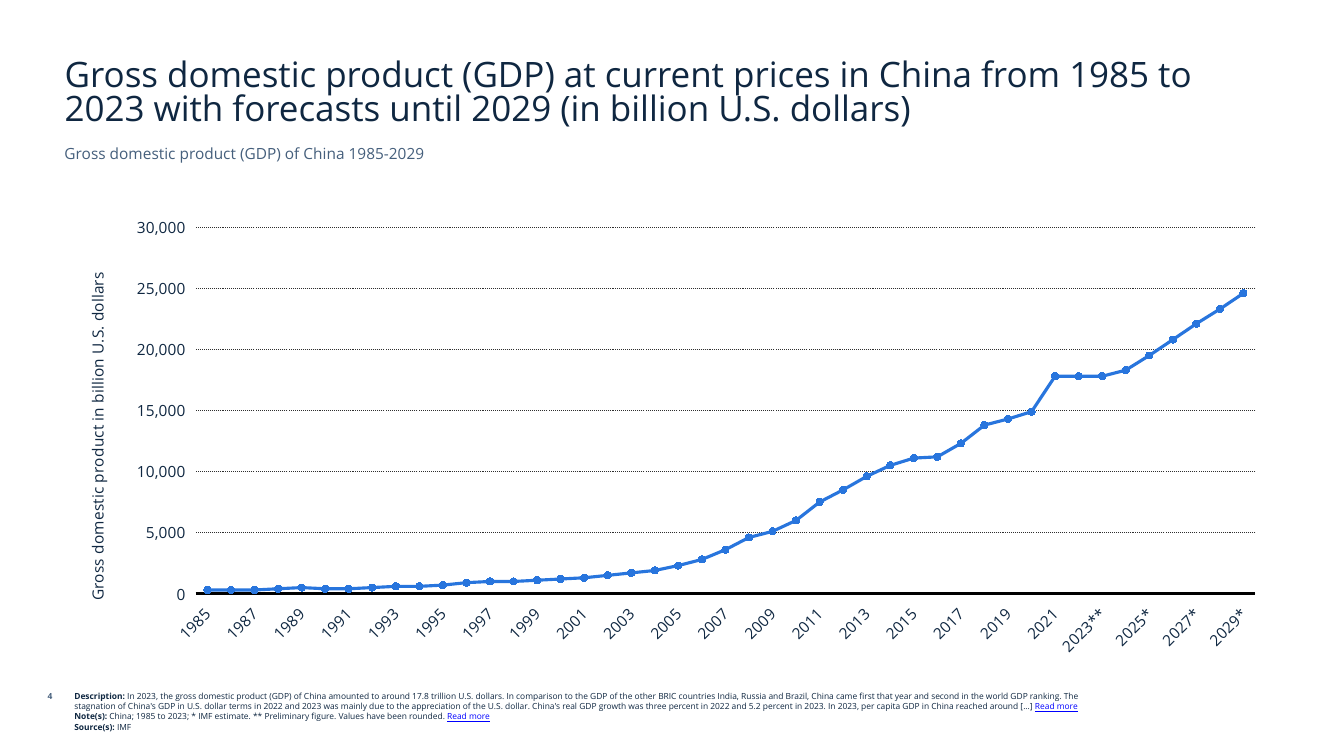
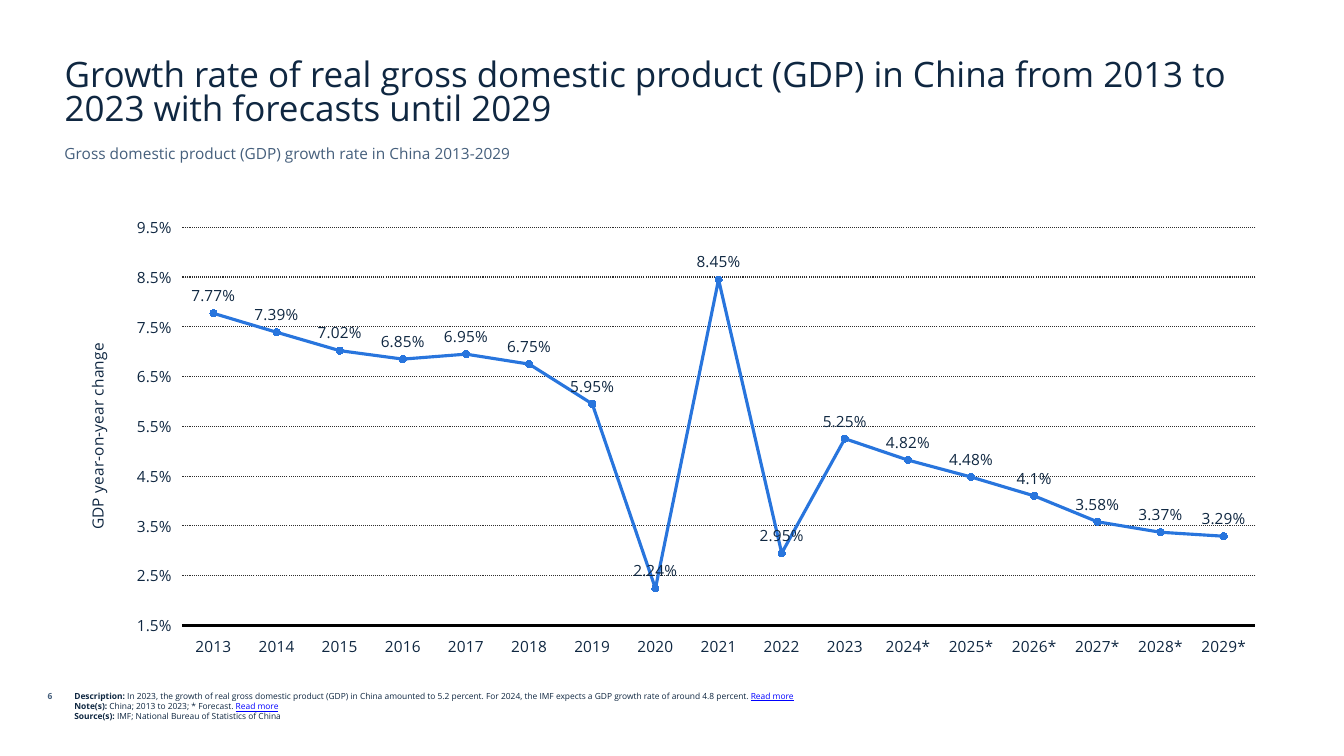
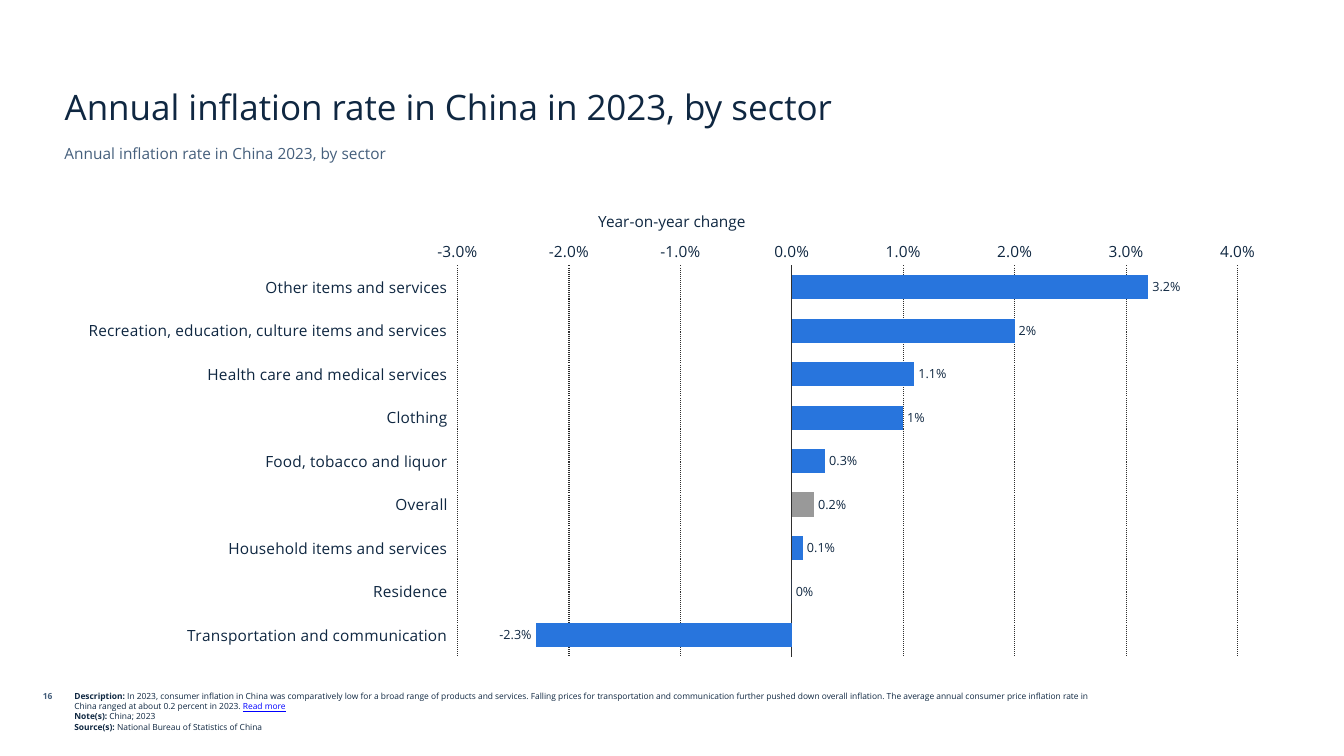
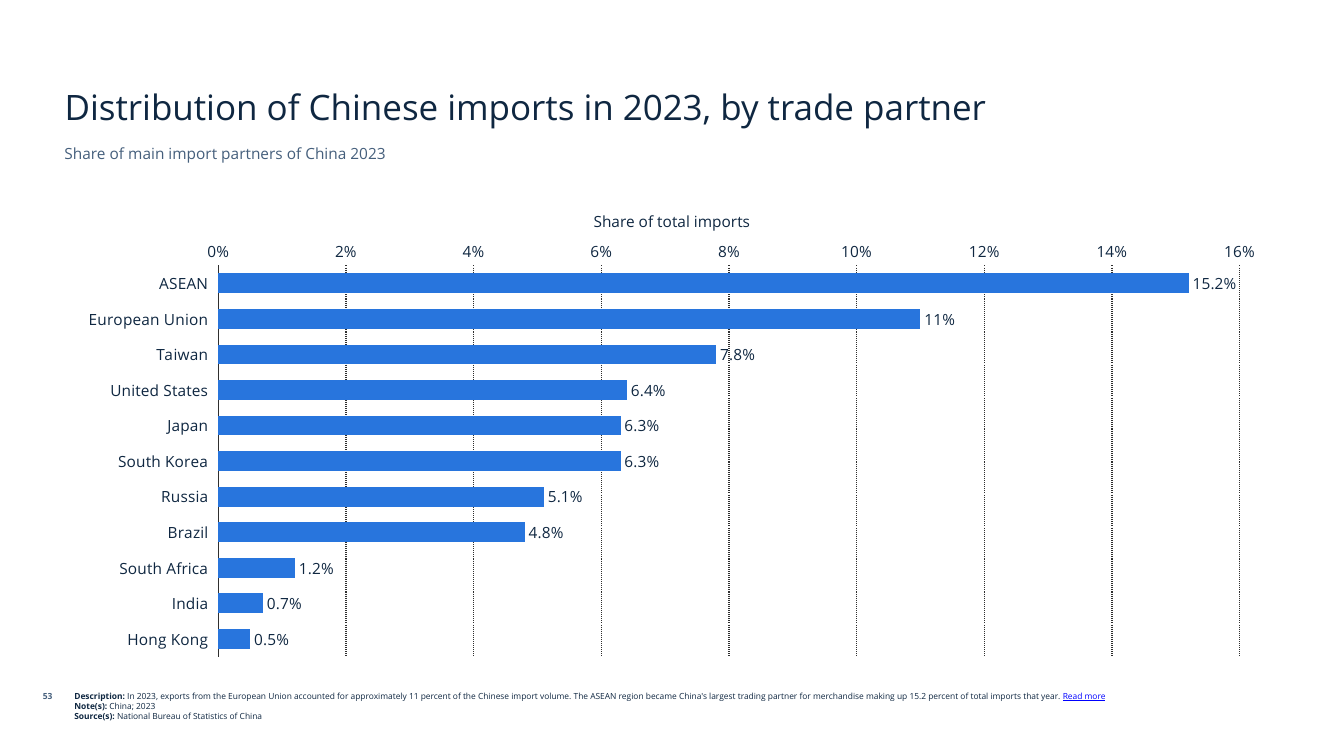
from lxml.etree import SubElement
from pptx import Presentation
from pptx.chart.data import CategoryChartData
from pptx.dml.color import RGBColor
from pptx.enum.chart import (
    XL_CHART_TYPE,
    XL_LABEL_POSITION,
    XL_MARKER_STYLE,
    XL_TICK_LABEL_POSITION,
    XL_TICK_MARK,
)
from pptx.enum.dml import MSO_LINE
from pptx.enum.text import MSO_ANCHOR, MSO_AUTO_SIZE, PP_ALIGN
from pptx.oxml.ns import qn
from pptx.util import Pt

FONT = "Open Sans"
NAVY, SLATE, BLUE, GRAY = "0F2741", "455F7C", "2875DD", "999999"
GRID, BLACK, LINK = "2F2F2F", "000000", "0000FF"

TITLE_BOX = (39, 33, 881, 62)
SUBTITLE_BOX = (39, 99.4, 881, 24.5)
NUMBER_BOX = (0, 490.3, 44.6, 21.6)
NOTES_BOX = (46, 490.3, 754, 41.8)
CHART_BOX = (46, 148.3, 868, 327)
HEADING_HEIGHT = 17.3

TITLE = {"size": 25, "color": NAVY}
SUBTITLE = {"size": 11, "color": SLATE}
NUMBER = {"size": 6, "color": SLATE, "bold": True}
NOTE = {"size": 6, "color": NAVY, "bold": False}
NOTE_LABEL = {**NOTE, "bold": True}
NOTE_LINK = {**NOTE, "color": LINK, "underline": True}
AXIS = {"size": 11, "color": NAVY, "bold": False}


def rgb(value):
    return RGBColor.from_string(value)


def assign(target, values):
    for name, value in values.items():
        setattr(target, name, value)


def style_font(font, values):
    font.name = FONT
    for name, value in values.items():
        if name == "color":
            font.color.rgb = rgb(value)
        else:
            setattr(font, name, Pt(value) if name == "size" else value)


def style_line(line, color, width, dash=None):
    line.color.rgb = rgb(color)
    line.width = Pt(width)
    if dash:
        line.dash_style = dash


def place(shape, box):
    assign(shape, dict(zip(("left", "top", "width", "height"), map(Pt, box))))


def add_text(page, box, paragraphs, align=PP_ALIGN.LEFT):
    frame = page.shapes.add_textbox(*map(Pt, box)).text_frame
    frame.word_wrap = True
    for index, spans in enumerate(paragraphs):
        para = frame.add_paragraph() if index else frame.paragraphs[0]
        para.alignment = align
        for text, style in spans:
            span = para.add_run()
            span.text = text
            style_font(span.font, style)


def add_title(page, text, box, spacing):
    title = page.shapes.title
    place(title, box)
    frame = title.text_frame
    frame.text = text
    assign(frame, {
        "word_wrap": True,
        "auto_size": MSO_AUTO_SIZE.NONE,
        "vertical_anchor": MSO_ANCHOR.BOTTOM,
    })
    para = frame.paragraphs[0]
    assign(para, {"alignment": PP_ALIGN.LEFT, "line_spacing": spacing})
    style_font(para.runs[0].font, TITLE)


def add_notes(page, box, notes):
    paragraphs = []
    for label, text, linked in notes:
        spans = [(f"{label}: ", NOTE_LABEL), (f"{text} " if linked else text, NOTE)]
        if linked:
            spans.append(("Read more", NOTE_LINK))
        paragraphs.append(spans)
    add_text(page, box, paragraphs)


def add_frame(deck, content, spacing):
    page = deck.slides.add_slide(deck.slide_layouts[5])
    add_title(page, content["title"], TITLE_BOX, spacing)
    add_text(page, SUBTITLE_BOX, [[(content["subtitle"], SUBTITLE)]])
    add_text(page, NUMBER_BOX, [[(content["number"], NUMBER)]], PP_ALIGN.RIGHT)
    add_notes(page, NOTES_BOX, content["notes"])
    return page


def add_chart(page, box, kind, content):
    data = CategoryChartData()
    data.categories = content["values"].keys() if "values" in content else content["years"]
    data.add_series("Series 1", content["values"].values() if "values" in content else content["amounts"])
    chart = page.shapes.add_chart(kind, *map(Pt, box), data).chart
    assign(chart, {"has_legend": False, "has_title": False})
    style_font(chart.font, AXIS)
    for axis in (chart.category_axis, chart.value_axis):
        assign(axis, {"major_tick_mark": XL_TICK_MARK.NONE, "minor_tick_mark": XL_TICK_MARK.NONE})
        axis.tick_label_position = XL_TICK_LABEL_POSITION.LOW
        style_font(axis.tick_labels.font, AXIS)
    values = chart.value_axis
    low, high, step = content["scale"]
    assign(values, {
        "minimum_scale": low,
        "maximum_scale": high,
        "major_unit": step,
        "has_major_gridlines": True,
    })
    assign(values.tick_labels, {"number_format": content["format"], "number_format_is_linked": False})
    values.format.line.fill.background()
    style_line(values.major_gridlines.format.line, GRID, 0.75, MSO_LINE.ROUND_DOT)
    chart.plots[0].vary_by_categories = False
    return chart


def percent_format(value):
    digits = f"{value * 100:.2f}".rstrip("0").partition(".")[2]
    return f"0.{'0' * len(digits)}%" if digits else "0%"


def add_labels(chart, size, position):
    series = chart.plots[0].series[0]
    for index, value in enumerate(series.values):
        label = series.points[index].data_label
        style_font(label.font, {**AXIS, "size": size})
        label.position = position
    for label, value in zip(chart.element.iter(qn("c:dLbl")), series.values):
        number = SubElement(label, qn("c:numFmt"), formatCode=percent_format(value), sourceLinked="0")
        label.find(qn("c:idx")).addnext(number)


def add_line_page(deck, content):
    page = add_frame(deck, content, 0.8)
    chart = add_chart(page, CHART_BOX, XL_CHART_TYPE.LINE_MARKERS, content)
    style_line(chart.category_axis.format.line, BLACK, 2)
    frame = chart.value_axis.axis_title.text_frame
    frame.text = content["heading"]
    style_font(frame.paragraphs[0].runs[0].font, AXIS)
    series = chart.plots[0].series[0]
    series.smooth = False
    style_line(series.format.line, BLUE, 2.25)
    marker = series.marker
    assign(marker, {"style": XL_MARKER_STYLE.CIRCLE, "size": 5})
    marker.format.fill.solid()
    marker.format.fill.fore_color.rgb = rgb(BLUE)
    style_line(marker.format.line, BLUE, 0.75)
    if "label_size" in content:
        add_labels(chart, content["label_size"], XL_LABEL_POSITION.ABOVE)


def add_bar_page(deck, content):
    page = add_frame(deck, content, 1.0)
    left, top, width, height = CHART_BOX
    box = (left, top + HEADING_HEIGHT, width, height - HEADING_HEIGHT)
    chart = add_chart(page, box, XL_CHART_TYPE.BAR_CLUSTERED, content)
    heading_box = (left + width / 2 - 82, top, 164, HEADING_HEIGHT)
    add_text(page, heading_box, [[(content["heading"], AXIS)]], PP_ALIGN.CENTER)
    chart.category_axis.reverse_order = True
    chart.value_axis.tick_label_position = XL_TICK_LABEL_POSITION.NEXT_TO_AXIS
    style_line(chart.category_axis.format.line, GRID, 0.75)
    plot = chart.plots[0]
    assign(plot, {"gap_width": 80, "overlap": -30})
    series = plot.series[0]
    series.invert_if_negative = False
    series.format.fill.solid()
    series.format.fill.fore_color.rgb = rgb(BLUE)
    if "highlight" in content:
        fill = series.points[list(content["values"]).index(content["highlight"])].format.fill
        fill.solid()
        fill.fore_color.rgb = rgb(GRAY)
    add_labels(chart, content["label_size"], XL_LABEL_POSITION.OUTSIDE_END)


def year_labels(first, last, marks):
    return [f"{year}{marks.get(year, '')}" for year in range(first, last + 1)]


FORECAST = {year: "*" for year in range(2024, 2030)}

GDP = {
    "title": "Gross domestic product (GDP) at current prices in China from 1985 to 2023 with forecasts until 2029 (in billion U.S. dollars)",
    "subtitle": "Gross domestic product (GDP) of China 1985-2029",
    "number": "4",
    "heading": "Gross domestic product in billion U.S. dollars",
    "format": "#,##0",
    "scale": (0, 30000, 5000),
    "years": year_labels(1985, 2029, {**FORECAST, 2023: "**"}),
    "amounts": [
        300, 300, 300, 400, 500, 400, 400, 500, 600, 600, 700, 900, 1000, 1000, 1100,
        1200, 1300, 1500, 1700, 1900, 2300, 2800, 3600, 4600, 5100, 6000, 7500, 8500,
        9600, 10500, 11100, 11200, 12300, 13800, 14300, 14900, 17800, 17800, 17800,
        18300, 19500, 20800, 22100, 23300, 24600,
    ],
    "notes": [
        ("Description", "In 2023, the gross domestic product (GDP) of China amounted to around 17.8 trillion U.S. dollars. In comparison to the GDP of the other BRIC countries India, Russia and Brazil, China came first that year and second in the world GDP ranking. The stagnation of China's GDP in U.S. dollar terms in 2022 and 2023 was mainly due to the appreciation of the U.S. dollar. China's real GDP growth was three percent in 2022 and 5.2 percent in 2023. In 2023, per capita GDP in China reached around [...]", True),
        ("Note(s)", "China; 1985 to 2023; * IMF estimate. ** Preliminary figure. Values have been rounded.", True),
        ("Source(s)", "IMF", False),
    ],
}

GROWTH = {
    "title": "Growth rate of real gross domestic product (GDP) in China from 2013 to 2023 with forecasts until 2029",
    "subtitle": "Gross domestic product (GDP) growth rate in China 2013-2029",
    "number": "6",
    "heading": "GDP year-on-year change",
    "format": "#,##0.0%",
    "scale": (0.015, 0.095, 0.01),
    "label_size": 11,
    "years": year_labels(2013, 2029, FORECAST),
    "amounts": [
        0.0777, 0.0739, 0.0702, 0.0685, 0.0695, 0.0675, 0.0595, 0.0224, 0.0845,
        0.0295, 0.0525, 0.0482, 0.0448, 0.041, 0.0358, 0.0337, 0.0329,
    ],
    "notes": [
        ("Description", "In 2023, the growth of real gross domestic product (GDP) in China amounted to 5.2 percent. For 2024, the IMF expects a GDP growth rate of around 4.8 percent.", True),
        ("Note(s)", "China; 2013 to 2023; * Forecast.", True),
        ("Source(s)", "IMF; National Bureau of Statistics of China", False),
    ],
}

INFLATION = {
    "title": "Annual inflation rate in China in 2023, by sector",
    "subtitle": "Annual inflation rate in China 2023, by sector",
    "number": "16",
    "heading": "Year-on-year change",
    "format": "#,##0.0%",
    "scale": (-0.03, 0.04, 0.01),
    "label_size": 9,
    "highlight": "Overall",
    "values": {
        "Other items and services": 0.032,
        "Recreation, education, culture items and services": 0.02,
        "Health care and medical services": 0.011,
        "Clothing": 0.01,
        "Food, tobacco and liquor": 0.003,
        "Overall": 0.002,
        "Household items and services": 0.001,
        "Residence": 0,
        "Transportation and communication": -0.023,
    },
    "notes": [
        ("Description", "In 2023, consumer inflation in China was comparatively low for a broad range of products and services. Falling prices for transportation and communication further pushed down overall inflation. The average annual consumer price inflation rate in China ranged at about 0.2 percent in 2023.", True),
        ("Note(s)", "China; 2023", False),
        ("Source(s)", "National Bureau of Statistics of China", False),
    ],
}

IMPORTS = {
    "title": "Distribution of Chinese imports in 2023, by trade partner",
    "subtitle": "Share of main import partners of China 2023",
    "number": "53",
    "heading": "Share of total imports",
    "format": "#,##0%",
    "scale": (0, 0.16, 0.02),
    "label_size": 11,
    "values": {
        "ASEAN": 0.152,
        "European Union": 0.11,
        "Taiwan": 0.078,
        "United States": 0.064,
        "Japan": 0.063,
        "South Korea": 0.063,
        "Russia": 0.051,
        "Brazil": 0.048,
        "South Africa": 0.012,
        "India": 0.007,
        "Hong Kong": 0.005,
    },
    "notes": [
        ("Description", "In 2023, exports from the European Union accounted for approximately 11 percent of the Chinese import volume. The ASEAN region became China's largest trading partner for merchandise making up 15.2 percent of total imports that year.", True),
        ("Note(s)", "China; 2023", False),
        ("Source(s)", "National Bureau of Statistics of China", False),
    ],
}


def main():
    deck = Presentation()
    assign(deck, {"slide_width": Pt(960), "slide_height": Pt(540)})
    for content in (GDP, GROWTH):
        add_line_page(deck, content)
    for content in (INFLATION, IMPORTS):
        add_bar_page(deck, content)
    deck.save("out.pptx")


if __name__ == "__main__":
    main()
